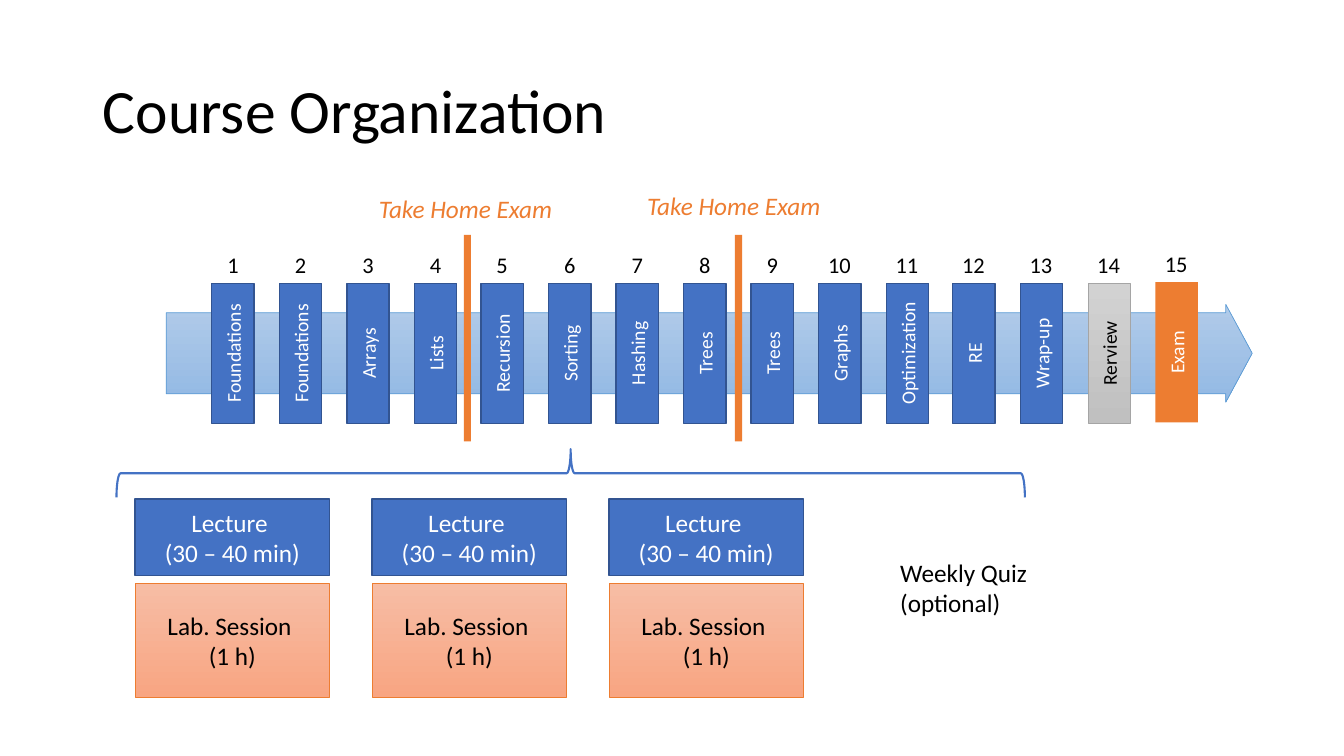
from pptx import Presentation
from pptx.dml.color import RGBColor
from pptx.enum.shapes import MSO_SHAPE as Shape
from pptx.enum.text import MSO_ANCHOR as Anchor, MSO_AUTO_SIZE as AutoSize, PP_ALIGN as Align
from pptx.util import Pt

PX = 9144
FONT = "Calibri"
COLOURS = {
    "black": "000000", "white": "FFFFFF", "blue": "4472C4", "navy": "325491",
    "orange": "ED7D31", "sky": "5B9BD5", "sky_top": "B1CBE9", "sky_end": "93B9E4",
    "peach_top": "F7BDA5", "peach_end": "F8A582",
    "grey": "A5A5A5", "grey_top": "D2D2D2", "grey_end": "C0C0C0",
}
STYLES = {
    "lesson": {"fill": ["blue"], "line": "navy", "width": 1, "text": "white"},
    "lab": {"fill": ["peach_top", "peach_end"], "line": "orange", "width": 0.5, "text": "black"},
    "review": {"fill": ["grey_top", "grey_end"], "line": "grey", "width": 0.5, "text": "black"},
    "exam": {"fill": ["orange"], "text": "white"},
    "arrow": {"fill": ["sky_top", "sky_end"], "line": "sky", "width": 0.5},
    "brace": {"fill": [], "line": "blue", "width": 1.5},
}
TOPICS = ["Foundations", "Foundations", "Arrays", "Lists", "Recursion", "Sorting",
          "Hashing", "Trees", "Trees", "Graphs", "Optimization", "RE", "Wrap-up",
          "Rerview", "Exam"]
WEEK_STYLES = {"Rerview": "review", "Exam": "exam"}


def colour(name):
    """Return the named colour."""
    return RGBColor.from_string(COLOURS[name])


def set_all(target, values):
    """Set each attribute named in values."""
    for name, value in values.items():
        setattr(target, name, value)


def place(box):
    """Turn a box in px into EMU."""
    return [value * PX for value in box]


def write(frame, text, size, text_colour, align=Align.LEFT, **extra):
    """Fill a text frame with evenly formatted text."""
    frame.text = text
    for paragraph in frame.paragraphs:
        paragraph.alignment = align
        for run in paragraph.runs:
            set_all(run.font, {"name": FONT, "size": Pt(size), **extra})
            run.font.color.rgb = colour(text_colour)


def add_label(slide, box, text, size, text_colour="black", align=Align.LEFT, **extra):
    """Add an unwrapped text box."""
    frame = slide.shapes.add_textbox(*place(box)).text_frame
    set_all(frame, {"word_wrap": False, "auto_size": AutoSize.SHAPE_TO_FIT_TEXT})
    write(frame, text, size, text_colour, align, **extra)


def add_block(slide, kind, box, style_name, text="", size=18, vertical=False):
    """Add a styled shape with optional centred text."""
    style = STYLES[style_name]
    shape = slide.shapes.add_shape(kind, *place(box))
    shape.shadow.inherit = False
    fills = style["fill"]
    if len(fills) == 2:
        shape.fill.gradient()
        shape.fill.gradient_angle = 270
        for stop, name in zip(shape.fill.gradient_stops, fills):
            stop.color.rgb = colour(name)
    elif fills:
        shape.fill.solid()
        shape.fill.fore_color.rgb = colour(fills[0])
    else:
        shape.fill.background()
    if "line" in style:
        shape.line.color.rgb = colour(style["line"])
        shape.line.width = Pt(style["width"])
    else:
        shape.line.fill.background()
    if text:
        frame = shape.text_frame
        set_all(frame, {"word_wrap": True, "vertical_anchor": Anchor.MIDDLE})
        write(frame, text, size, style["text"], Align.CENTER)
        if vertical:
            frame._txBody.bodyPr.set("vert", "vert270")
    return shape


def add_title(slide, box):
    """Place and format the title."""
    title = slide.shapes.title
    set_all(title, dict(zip(("left", "top", "width", "height"), place(box))))
    title.text_frame.vertical_anchor = Anchor.MIDDLE
    write(title.text_frame, "Course Organization", 44, "black")
    title.text_frame.paragraphs[0].line_spacing = 0.9


def add_timeline(slide, box):
    """Draw the arrow with its numbered weeks and take-home exams."""
    left, top, width, height = box
    arrow = add_block(slide, Shape.RIGHT_ARROW, box, "arrow")
    arrow.adjustments[0], arrow.adjustments[1] = 0.828, 0.27
    span = width - 141
    for index, topic in enumerate(TOPICS):
        bar_left = left + 45 + round(index * span / (len(TOPICS) - 1))
        style = WEEK_STYLES.get(topic, "lesson")
        bar_top = top - (22 if style == "exam" else 21)
        add_block(slide, Shape.RECTANGLE, (bar_left, bar_top, 42, 139), style, topic, 14, True)
        label_width = 32 if index < 9 else 43
        label_left = bar_left + (42 - label_width) // 2
        add_label(slide, (label_left, bar_top - 37, label_width, 37), str(index + 1), 16,
                  align=Align.CENTER)
    for marker, label, rise in ((295, 201, 115), (564, 467, 118)):
        add_block(slide, Shape.RECTANGLE, (left + marker, top - 69, 7, 205), "exam")
        add_label(slide, (left + label, top - rise, 194, 40), "Take Home Exam", 18,
                  "orange", italic=True)


def add_week_plan(slide, box):
    """Draw the brace and the lessons of one week."""
    left, top, width, height = box
    brace = 48
    shape = add_block(slide, Shape.RIGHT_BRACE,
                      (left + (width - brace) // 2, top + (brace - width) // 2, brace, width),
                      "brace")
    shape.rotation = 270
    for session in range(3):
        session_left = left + 18 + session * 235
        add_block(slide, Shape.RECTANGLE, (session_left, top + 49, 193, 76), "lesson",
                  "Lecture \v(30 – 40 min)")
        add_block(slide, Shape.RECTANGLE, (session_left, top + 133, 193, height - 133), "lab",
                  "Lab. Session \v(1 h)")
    add_label(slide, (left + 767, top + 102, 147, 71), "Weekly Quiz\n(optional)", 18)


def main():
    """Build and save the slide."""
    presentation = Presentation()
    set_all(presentation, {"slide_width": 1333 * PX, "slide_height": 750 * PX})
    slide = presentation.slides.add_slide(presentation.slide_layouts[5])
    add_title(slide, (92, 40, 1150, 145))
    add_timeline(slide, (165, 302, 1077, 97))
    add_week_plan(slide, (116, 446, 901, 246))
    presentation.save("out.pptx")


if __name__ == "__main__":
    main()
